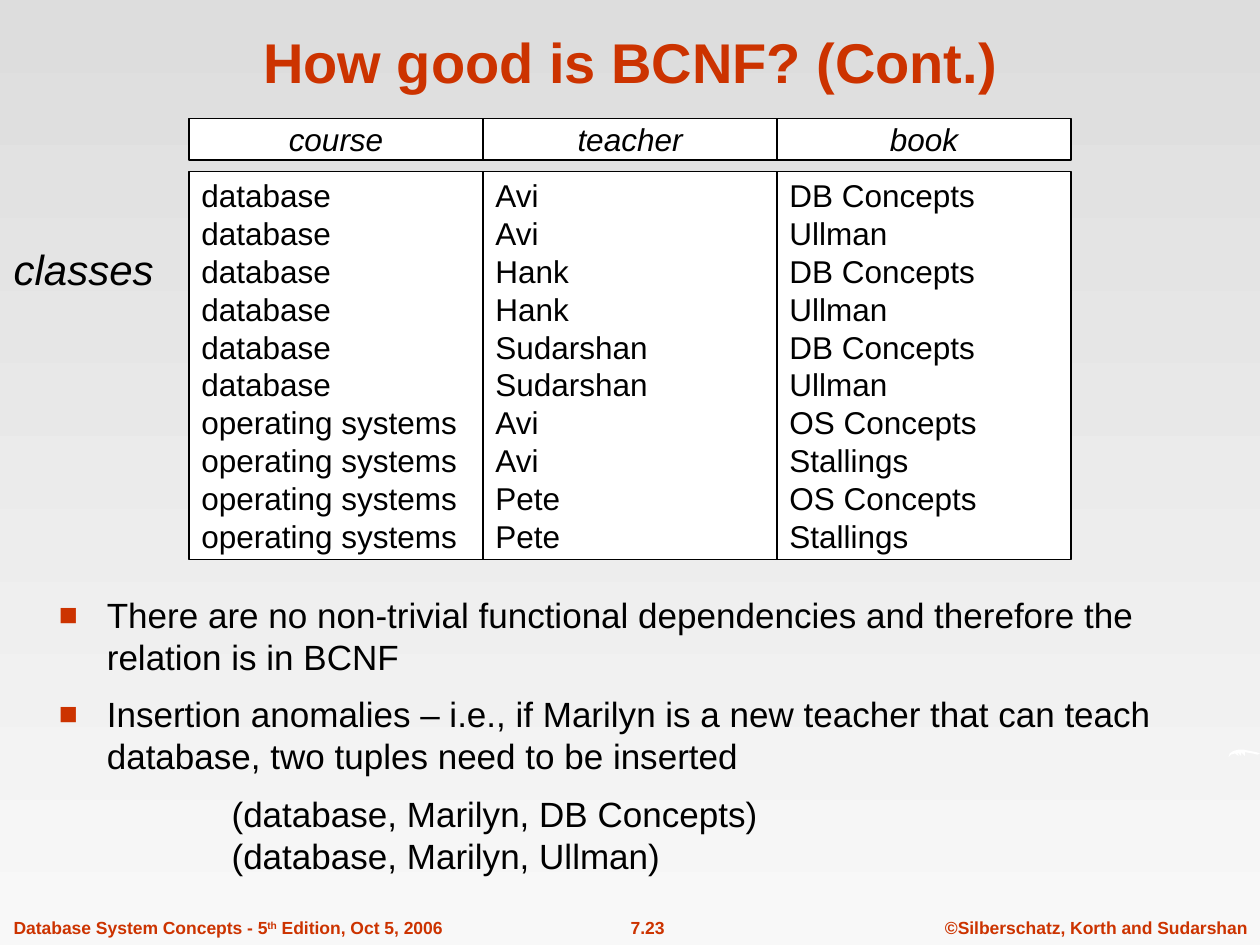
from lxml import etree
from pptx import Presentation
from pptx.dml.color import RGBColor
from pptx.enum.shapes import MSO_SHAPE
from pptx.enum.text import MSO_ANCHOR, PP_ALIGN
from pptx.oxml.ns import qn
from pptx.util import Inches, Pt

BLACK = RGBColor(0x00, 0x00, 0x00)
WHITE = RGBColor(0xFF, 0xFF, 0xFF)
RED = RGBColor(0xCC, 0x33, 0x00)
GREY_TOP = RGBColor(0xDD, 0xDD, 0xDD)
GREY_BOTTOM = RGBColor(0xF8, 0xF8, 0xF8)
RECTANGLE = MSO_SHAPE.RECTANGLE
LEFT, CENTER = PP_ALIGN.LEFT, PP_ALIGN.CENTER
TOP, MIDDLE, BOTTOM = MSO_ANCHOR.TOP, MSO_ANCHOR.MIDDLE, MSO_ANCHOR.BOTTOM

TABLE_LEFT, COLUMN_WIDTH = 1.5, 7 / 3
HEADINGS = ("course", "teacher", "book")
COURSES = (
    ("database", ("Avi", "Hank", "Sudarshan"), ("DB Concepts", "Ullman")),
    ("operating systems", ("Avi", "Pete"), ("OS Concepts", "Stallings")),
)
BULLETS = (
    "There are no non-trivial functional dependencies and therefore the relation is in BCNF",
    "Insertion anomalies – i.e., if Marilyn is a new teacher that can teach database, "
    "two tuples need to be inserted",
)
TUPLES = "(database, Marilyn, DB Concepts)\v(database, Marilyn, Ullman)"
WISP = (
    (9.75, 6.01), (9.76, 5.98), (9.79, 5.96), (9.83, 5.95), (9.87, 5.95),
    (9.92, 5.96), (9.97, 5.97), (10, 5.98), (9.98, 5.99), (9.94, 5.98),
    (9.88, 5.97), (9.88, 6), (9.85, 5.97), (9.85, 6), (9.82, 5.97),
    (9.83, 6), (9.8, 5.98), (9.77, 5.99),
)


class SlideWriter:
    font_name = "Arial"
    line_height = 1.2

    def __init__(self, page):
        self.page = page

    def background(self, top, bottom):
        fill = self.page.background.fill
        fill.gradient()
        fill.gradient_angle = 270
        for stop, color in zip(fill.gradient_stops, (top, bottom)):
            stop.color.rgb = color

    def style(self, para, size, color=BLACK, bold=False, italic=False, align=LEFT):
        para.alignment = align
        para.line_spacing = Pt(size * self.line_height)
        font = para.font
        font.name, font.size = self.font_name, Pt(size)
        font.bold, font.italic = bold, italic
        font.color.rgb = color

    def fill_frame(self, frame, lines, anchor, wrap, size, **look):
        frame.word_wrap = wrap
        frame.vertical_anchor = anchor
        for index, line in enumerate(lines):
            para = frame.add_paragraph() if index else frame.paragraphs[0]
            para.text = line
            self.style(para, size, **look)

    def text(self, place, lines, size, anchor=TOP, wrap=False, **look):
        box = self.page.shapes.add_textbox(*map(Inches, place))
        self.fill_frame(box.text_frame, lines, anchor, wrap, size, **look)
        return box.text_frame

    def cell(self, place, lines, **look):
        box = self.page.shapes.add_shape(RECTANGLE, *map(Inches, place))
        box.shadow.inherit = False
        box.fill.solid()
        box.fill.fore_color.rgb = WHITE
        box.line.color.rgb = BLACK
        box.line.width = Pt(0.75)
        self.fill_frame(box.text_frame, lines, MIDDLE, False, 18, **look)

    def outline(self, points, color):
        corners = [(Inches(x), Inches(y)) for x, y in points]
        builder = self.page.shapes.build_freeform(*corners[0])
        builder.add_line_segments(corners[1:], close=True)
        shape = builder.convert_to_shape()
        shape.shadow.inherit = False
        shape.fill.solid()
        shape.fill.fore_color.rgb = color
        shape.line.fill.background()

    def bullet(self, properties):
        color = etree.SubElement(properties, qn("a:buClr"))
        etree.SubElement(color, qn("a:srgbClr"), val=str(RED))
        etree.SubElement(properties, qn("a:buSzPct"), val="90000")
        etree.SubElement(properties, qn("a:buFont"), typeface=self.font_name)
        etree.SubElement(properties, qn("a:buChar"), char="■")

    def body(self, place, bullets, closing, size):
        box = self.page.shapes.add_textbox(*map(Inches, place))
        frame = box.text_frame
        frame.word_wrap = True
        for index, line in enumerate((*bullets, closing)):
            para = frame.add_paragraph() if index else frame.paragraphs[0]
            para.text = line
            properties = para._p.get_or_add_pPr()
            if line == closing:
                properties.set("marL", str(Inches(1.37)))
            else:
                properties.set("marL", str(Inches(0.38)))
                properties.set("indent", str(Inches(-0.38)))
                self.bullet(properties)
            self.style(para, size)
            para.space_before = Pt(8.8 if index else 0)


def main():
    deck = Presentation()
    deck.slide_width, deck.slide_height = Inches(10), Inches(7.5)
    writer = SlideWriter(deck.slides.add_slide(deck.slide_layouts[6]))
    writer.background(GREY_TOP, GREY_BOTTOM)

    footer = {"size": 10, "color": RED, "bold": True}
    writer.text((7.4, 7.23, 2.6, 0.27), ["©Silberschatz, Korth and Sudarshan"],
                align=CENTER, **footer)
    writer.text((4.65, 7.23, 0.98, 0.27), ["7.23"], align=CENTER, **footer)
    edition = writer.text((0.01, 7.23, 4, 0.27), ["Database System Concepts - 5"],
                          wrap=True, **footer)
    ordinal = edition.paragraphs[0].add_run()
    ordinal.text = "th"
    ordinal._r.get_or_add_rPr().set("baseline", "30000")
    edition.paragraphs[0].add_run().text = " Edition, Oct 5, 2006"
    writer.outline(WISP, WHITE)

    writer.body((0.37, 4.66, 9.23, 2.53), BULLETS, TUPLES, 20)

    rows = [(course, teacher, book) for course, teachers, books in COURSES
            for teacher in teachers for book in books]
    for index, (heading, column) in enumerate(zip(HEADINGS, zip(*rows))):
        left = TABLE_LEFT + index * COLUMN_WIDTH
        writer.cell((left, 0.94, COLUMN_WIDTH, 0.33), [heading], italic=True, align=CENTER)
        writer.cell((left, 1.36, COLUMN_WIDTH, 3.08), column)

    writer.text((0.01, 1.88, 1.31, 0.5), ["classes"], 24, italic=True)
    writer.text((1.09, 0.13, 7.83, 0.67), ["How good is BCNF? (Cont.)"], 32,
                anchor=BOTTOM, wrap=True, color=RED, bold=True, align=CENTER)
    deck.save("out.pptx")


if __name__ == "__main__":
    main()
